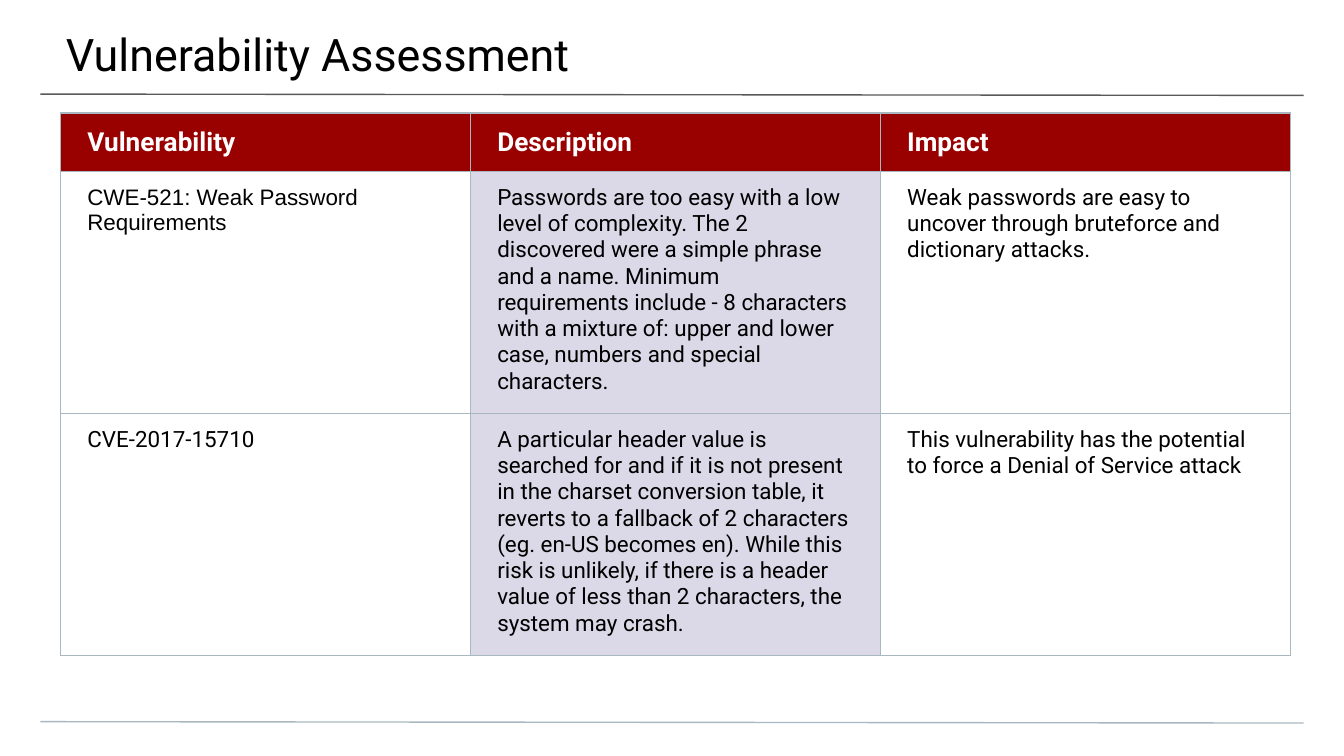
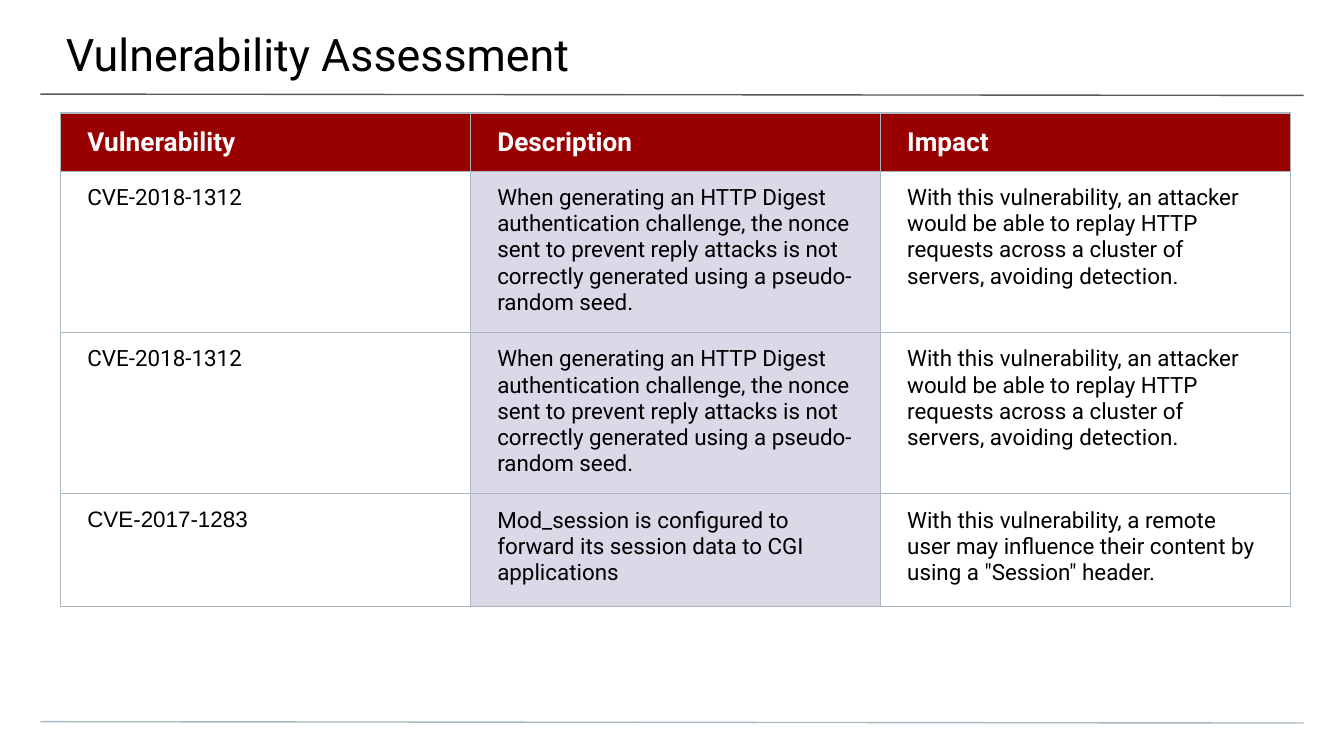
from lxml.etree import SubElement
from pptx import Presentation
from pptx.dml.color import RGBColor
from pptx.enum.shapes import MSO_CONNECTOR as Connector
from pptx.enum.text import MSO_ANCHOR as Anchor
from pptx.oxml.ns import qn
from pptx.util import Pt

PX = 4572  # 200 px to the inch
BLACK = RGBColor(0x00, 0x00, 0x00)
WHITE = RGBColor(0xFF, 0xFF, 0xFF)
RED = RGBColor(0x99, 0x00, 0x00)
LILAC = RGBColor(0xDB, 0xD9, 0xE8)
DARK_GREY = RGBColor(0x59, 0x59, 0x59)
BLUE_GREY = RGBColor(0xA9, 0xB7, 0xC0)
LINE_WIDTH = Pt(0.75)
MAIN_FONT, ID_FONT = "Roboto", "Arial"

TITLE = "Vulnerability Assessment"
HEADINGS = ("Vulnerability", "Description", "Impact")
COLUMN_WIDTH, HEADER_HEIGHT, ROW_HEIGHT = 610, 86, 168

WEAK_PASSWORDS = (
    "CWE-521: Weak Password Requirements",
    "Passwords are too easy with a low level of complexity. The 2 discovered "
    "were a simple phrase and a name. Minimum requirements include - 8 characters "
    "with a mixture of: upper and lower case, numbers and special characters.",
    "Weak passwords are easy to uncover through bruteforce and dictionary attacks.",
)
HEADER_CRASH = (
    "CVE-2017-15710",
    "A particular header value is searched for and if it is not present in the "
    "charset conversion table, it reverts to a fallback of 2 characters (eg. en-US "
    "becomes en). While this risk is unlikely, if there is a header value of less "
    "than 2 characters, the system may crash.",
    "This vulnerability has the potential to force a Denial of Service attack",
)
DIGEST_REPLAY = (
    "CVE-2018-1312",
    "When generating an HTTP Digest authentication challenge, the nonce sent to "
    "prevent reply attacks is not correctly generated using a pseudo-random seed.",
    "With this vulnerability, an attacker would be able to replay HTTP requests "
    "across a cluster of servers, avoiding detection.",
)
SESSION_HEADER = (
    "CVE-2017-1283",
    "Mod_session is configured to forward its session data to CGI applications",
    "With this vulnerability, a remote user may influence their content by using "
    'a "Session" header.',
)
ARIAL_IDS = {WEAK_PASSWORDS[0], SESSION_HEADER[0]}


class Deck:
    def __init__(self):
        self.deck = Presentation()
        self.deck.slide_width, self.deck.slide_height = 2000 * PX, 1125 * PX
        self.page = None

    def add_page(self):
        self.page = self.deck.slides.add_slide(self.deck.slide_layouts[6])
        self.rule(140, DARK_GREY)
        self.rule(1074, BLUE_GREY)
        self.title(TITLE)

    def rule(self, top, color):
        line = self.page.shapes.add_connector(
            Connector.STRAIGHT, 60 * PX, top * PX, 1940 * PX, (top + 2) * PX)
        line.line.color.rgb = color
        line.line.width = LINE_WIDTH
        SubElement(line._element.spPr, qn("a:effectLst"))

    def title(self, text):
        box = self.page.shapes.add_textbox(-2 * PX, 0, 2006 * PX, 116 * PX)
        frame = box.text_frame
        frame.word_wrap = True
        self.insets(frame, 100, 40, 60, 20)
        frame.text = text
        self.format(frame, 24, BLACK)

    def insets(self, target, left, top, right, bottom):
        target.margin_left, target.margin_top = left * PX, top * PX
        target.margin_right, target.margin_bottom = right * PX, bottom * PX

    def format(self, frame, size, color, bold=False, name=MAIN_FONT):
        for para in frame.paragraphs:
            for span in para.runs:
                span.font.name, span.font.size = name, Pt(size)
                span.font.bold, span.font.color.rgb = bold, color

    def table(self, findings):
        rows = [HEADINGS, *findings]
        height = HEADER_HEIGHT + ROW_HEIGHT * len(findings)
        table = self.page.shapes.add_table(
            len(rows), len(HEADINGS), 90 * PX, 168 * PX,
            COLUMN_WIDTH * len(HEADINGS) * PX, height * PX).table
        table.horz_banding = False
        for column in table.columns:
            column.width = COLUMN_WIDTH * PX
        for i, texts in enumerate(rows):
            table.rows[i].height = (ROW_HEIGHT if i else HEADER_HEIGHT) * PX
            for j, text in enumerate(texts):
                self.cell(table.cell(i, j), text, i == 0, j == 1)

    def cell(self, cell, text, is_header, is_shaded):
        self.borders(cell)
        self.insets(cell, 40, 20, 40, 20)
        cell.text_frame.text = text
        if is_header:
            cell.vertical_anchor = Anchor.MIDDLE
            self.format(cell.text_frame, 14, WHITE, bold=True)
        else:
            cell.vertical_anchor = Anchor.TOP
            name = ID_FONT if text in ARIAL_IDS else MAIN_FONT
            self.format(cell.text_frame, 12, BLACK, name=name)
        if is_header or is_shaded:
            cell.fill.solid()
            cell.fill.fore_color.rgb = RED if is_header else LILAC
        else:
            cell.fill.background()

    def borders(self, cell):
        properties = cell._tc.get_or_add_tcPr()
        for side in ("lnL", "lnR", "lnT", "lnB"):
            border = SubElement(properties, qn(f"a:{side}"), w=str(LINE_WIDTH))
            fill = SubElement(border, qn("a:solidFill"))
            SubElement(fill, qn("a:srgbClr"), val=str(BLUE_GREY))

    def save(self):
        self.deck.save("out.pptx")


def main():
    deck = Deck()

    # Passwords and header handling
    deck.add_page()
    deck.table([WEAK_PASSWORDS, HEADER_CRASH])

    # Replay and session data
    deck.add_page()
    deck.table([DIGEST_REPLAY, DIGEST_REPLAY, SESSION_HEADER])

    deck.save()


if __name__ == "__main__":
    main()
